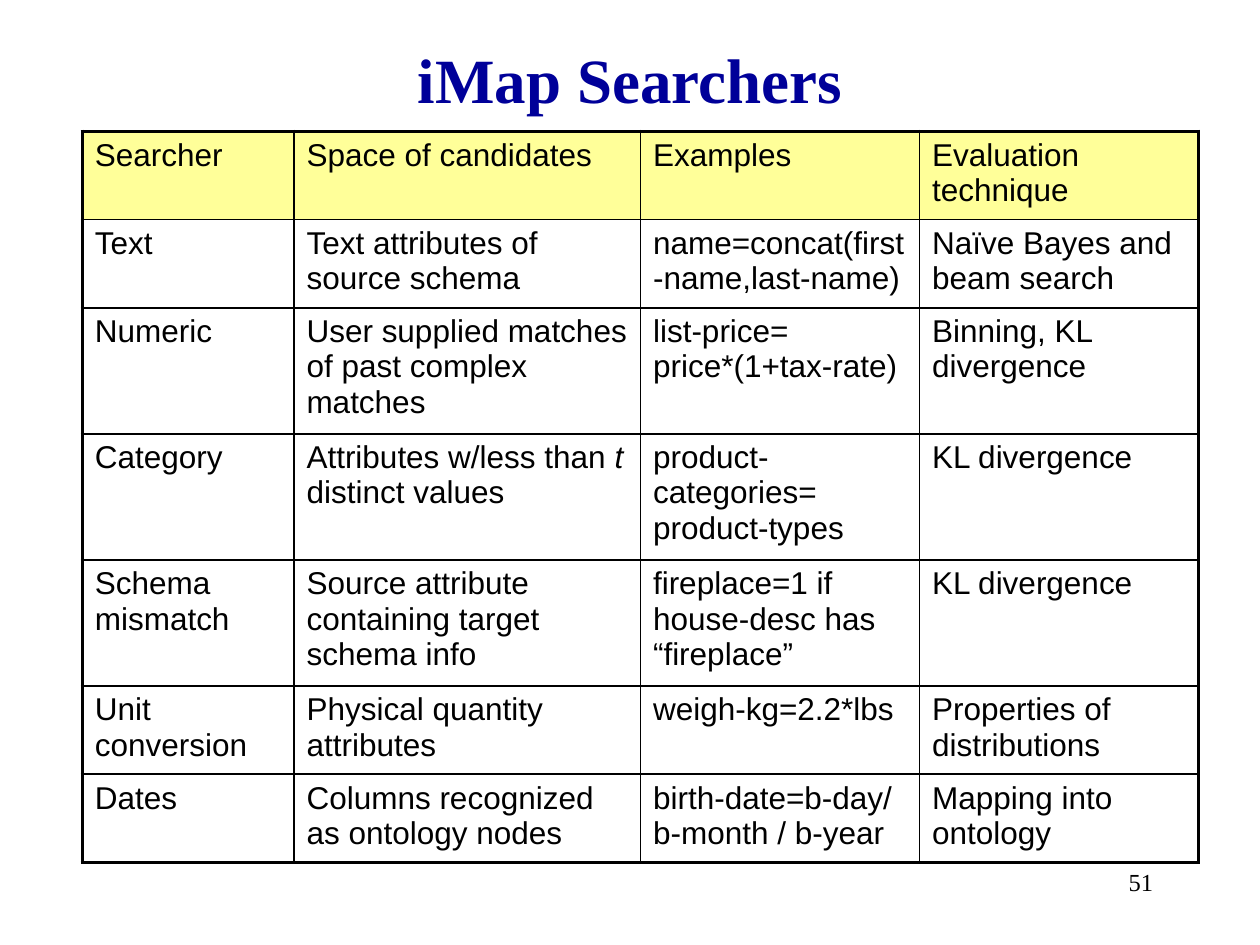
from lxml.etree import SubElement as Sub
from pptx import Presentation
from pptx.dml.color import RGBColor
from pptx.enum.text import MSO_ANCHOR as Anchor, PP_ALIGN as Align
from pptx.oxml.ns import qn
from pptx.util import Pt

SERIF, SANS = "Times New Roman", "Arial"
BLACK, NAVY, YELLOW = "000000", "000099", "FFFF99"
THIN, THICK = 1, 2.25
COLS = [121, 198, 159.5, 159.5]
ROW = 49.3

# A cell is a string, or a list of (text, italic) runs
ROWS = [
    ["Searcher", "Space of candidates", "Examples", "Evaluation technique"],
    ["Text", "Text attributes of source schema",
     "name=concat(first-name,last-name)", "Naïve Bayes and beam search"],
    ["Numeric", "User supplied matches of past complex matches",
     "list-price= price*(1+tax-rate)", "Binning, KL divergence"],
    ["Category",
     [("Attributes w/less than ", False), ("t", True),
      (" distinct values", False)],
     "product-categories= product-types", "KL divergence"],
    ["Schema mismatch", "Source attribute containing target schema info",
     "fireplace=1 if house-desc has “fireplace”", "KL divergence"],
    ["Unit conversion", "Physical quantity attributes",
     "weigh-kg=2.2*lbs", "Properties of distributions"],
    ["Dates", "Columns recognized as ontology nodes",
     "birth-date=b-day/ b-month / b-year", "Mapping into ontology"],
]


def paint(item, color):
    item.rgb = RGBColor.from_string(color)


def add_run(para, text, size, face, color=BLACK, bold=False, italic=False):
    run = para.add_run()
    run.text = text
    font = run.font
    font.size, font.name = Pt(size), face
    font.bold, font.italic = bold, italic
    paint(font.color, color)


def add_label(slide, box, text, align, anchor, size, color=BLACK, bold=False):
    frame = slide.shapes.add_textbox(*map(Pt, box)).text_frame
    frame.word_wrap = True
    frame.vertical_anchor = anchor
    para = frame.paragraphs[0]
    para.alignment = align
    add_run(para, text, size, SERIF, color, bold)


def set_base(deck, face):
    """Make one face the default, so that rows are measured with it."""
    for root in (deck.element, deck.slide_master.element):
        for latin in root.iter(qn("a:latin")):
            latin.set("typeface", face)


def add_edges(cell, widths):
    """Draw the left, right, top and bottom borders, ahead of the fill."""
    props = cell._tc.get_or_add_tcPr()
    for spot, (side, width) in enumerate(zip("LRTB", widths)):
        line = Sub(props, qn(f"a:ln{side}"), w=str(Pt(width)))
        fill = Sub(line, qn("a:solidFill"))
        Sub(fill, qn("a:srgbClr"), val=BLACK)
        props.insert(spot, line)


def add_grid(slide, box):
    shape = slide.shapes.add_table(len(ROWS), len(COLS), *map(Pt, box))
    table = shape.table
    # Drop the banded style along with its font
    table.first_row = table.horz_banding = False
    style = table._tbl.tblPr.find(qn("a:tableStyleId"))
    style.getparent().remove(style)
    for col, width in zip(table.columns, COLS):
        col.width = Pt(width)
    last_row, last_col = len(ROWS) - 1, len(COLS) - 1
    for r, texts in enumerate(ROWS):
        table.rows[r].height = Pt(ROW)
        for c, text in enumerate(texts):
            cell = table.cell(r, c)
            # Header is yellow, the body is clear
            if r == 0:
                cell.fill.solid()
                paint(cell.fill.fore_color, YELLOW)
            else:
                cell.fill.background()
            # Outer edges are thick
            outer = (c == 0, c == last_col, r == 0, r == last_row)
            add_edges(cell, [THICK if out else THIN for out in outer])
            runs = [(text, False)] if isinstance(text, str) else text
            para = cell.text_frame.paragraphs[0]
            for part, italic in runs:
                add_run(para, part, 18, SANS, italic=italic)
            # The paragraph end has the same font as the text
            end = Sub(para._p, qn("a:endParaRPr"), sz="1800")
            Sub(end, qn("a:latin"), typeface=SANS)


def main():
    deck = Presentation()
    deck.slide_width, deck.slide_height = Pt(720), Pt(540)
    set_base(deck, SANS)
    slide = deck.slides.add_slide(deck.slide_layouts[6])
    # Page number
    add_label(slide, (516, 492, 150, 36), "51", Align.RIGHT, Anchor.TOP, 14)
    # Title
    add_label(slide, (54, 18, 612, 54), "iMap Searchers", Align.CENTER,
              Anchor.MIDDLE, 36, NAVY, True)
    # Table of searchers
    add_grid(slide, (47, 75, sum(COLS), ROW * len(ROWS)))
    deck.save("out.pptx")


if __name__ == "__main__":
    main()
